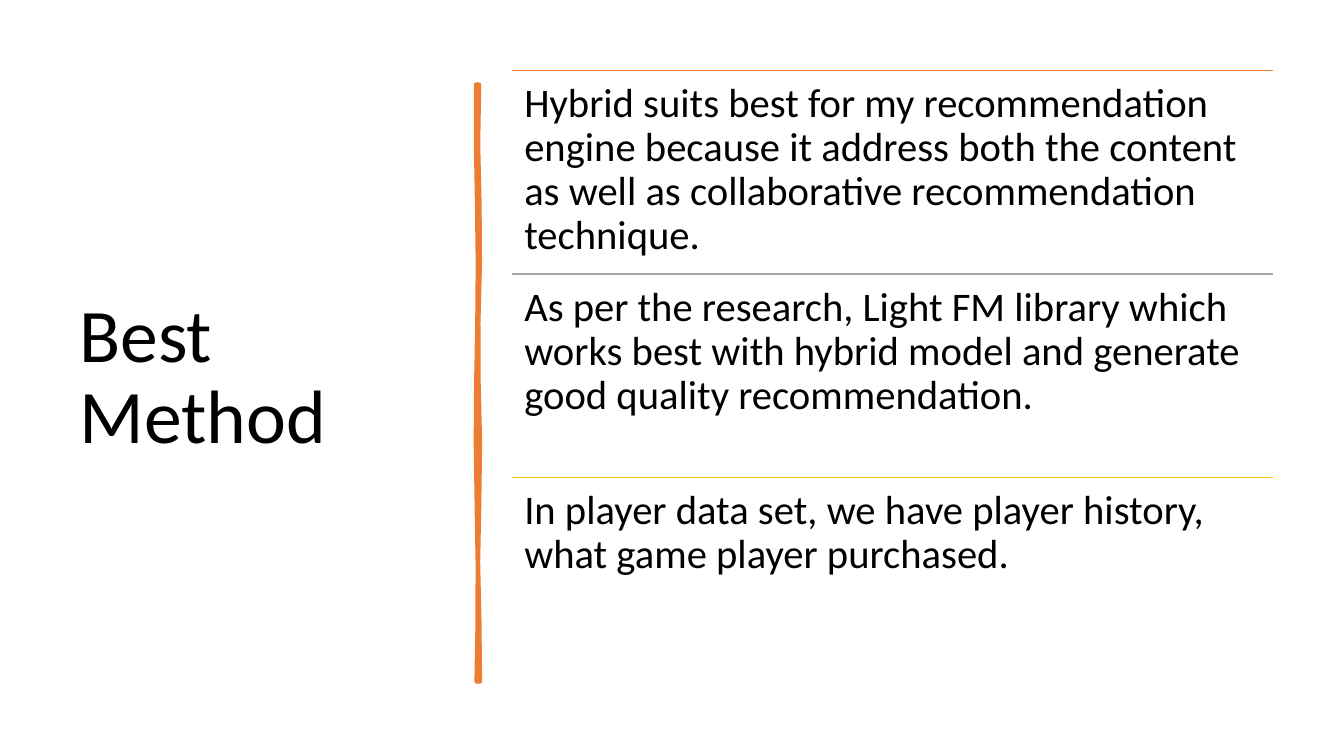
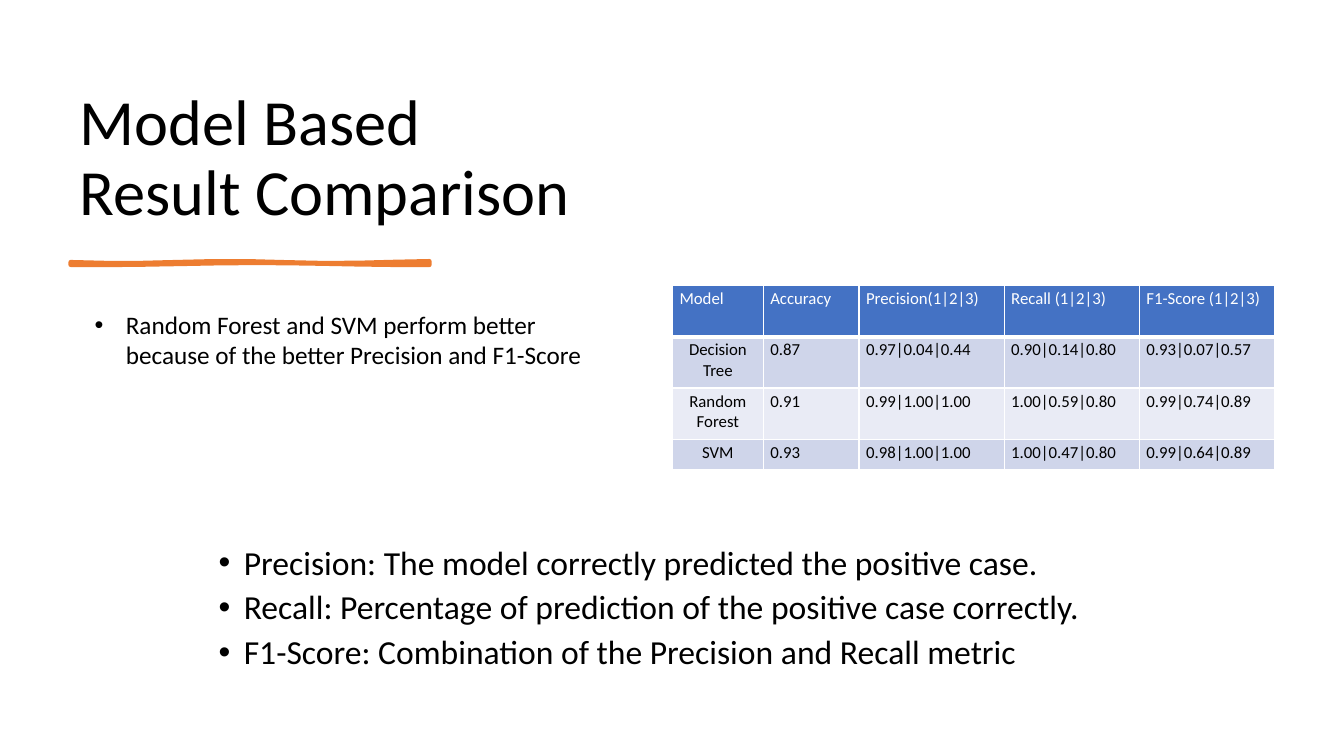
from math import sin

from lxml.etree import SubElement
from pptx import Presentation
from pptx.dml.color import RGBColor
from pptx.enum.shapes import MSO_CONNECTOR
from pptx.enum.text import MSO_ANCHOR, PP_ALIGN
from pptx.oxml import parse_xml
from pptx.oxml.ns import nsdecls, qn
from pptx.util import Inches, Pt

FONT = "Calibri"
BLACK = RGBColor(0x00, 0x00, 0x00)
WHITE = RGBColor(0xFF, 0xFF, 0xFF)
ORANGE = RGBColor(0xED, 0x7D, 0x31)
GRAY = RGBColor(0xA5, 0xA5, 0xA5)
GOLD = RGBColor(0xFF, 0xC0, 0x00)
BLUE = RGBColor(0x44, 0x72, 0xC4)
BAND_DARK = RGBColor(0xCF, 0xD5, 0xEA)
BAND_LIGHT = RGBColor(0xE9, 0xEB, 0xF5)


def write_text(frame, text, size, color=BLACK, align=PP_ALIGN.LEFT, anchor=MSO_ANCHOR.TOP,
               line_spacing=1.0, space_after=0, bullet_indent=None, text_indent=0):
    """Fill a text frame, one paragraph for each line of the text."""
    frame.word_wrap = True
    frame.vertical_anchor = anchor
    for index, line in enumerate(text.split("\n")):
        para = frame.paragraphs[0] if index == 0 else frame.add_paragraph()
        para.alignment = align
        para.line_spacing = line_spacing
        para.space_after = Pt(space_after)
        span = para.add_run()
        span.text = line
        span.font.name = FONT
        span.font.size = Pt(size)
        span.font.color.rgb = color
        if bullet_indent:
            properties = para._p.get_or_add_pPr()
            properties.set("marL", str(Inches(text_indent)))
            properties.set("indent", str(-Inches(bullet_indent)))
            SubElement(properties, qn("a:buFont"), typeface="Arial")
            SubElement(properties, qn("a:buChar"), char="•")


deck = Presentation()
deck.slide_width = Inches(13.33)
deck.slide_height = Inches(7.5)
blank = deck.slide_layouts[6]
method_slide = deck.slides.add_slide(blank)
result_slide = deck.slides.add_slide(blank)

# Titles share their corner and style
titles = [
    (method_slide, "Best Method", 3.74, 6.11, 54, MSO_ANCHOR.MIDDLE),
    (result_slide, "Model Based Result Comparison", 5.27, 1.62, 46, MSO_ANCHOR.BOTTOM),
]
for slide, title, width, height, size, anchor in titles:
    box = slide.shapes.add_textbox(Inches(0.69), Inches(0.7), Inches(width), Inches(height))
    write_text(box.text_frame, title, size=size, anchor=anchor, line_spacing=0.9)

# A wavy brush stroke beside or below each title
strokes = [
    (method_slide, 1.78, 3.79, 5.92, 3.25, 90),
    (result_slide, 0.7, 2.6, 3.56, 3, 0),
]
steps = 10
for slide, left, top, length, weight, rotation in strokes:
    stations = [length * step / steps for step in range(steps + 1)]
    upper_edge = [(x, 0.01 * sin(3 * x)) for x in stations]
    lower_edge = [(x, 0.02 + 0.01 * sin(2 * x + 1)) for x in reversed(stations)]
    points = [(Inches(left + x), Inches(top + y)) for x, y in upper_edge + lower_edge]
    builder = slide.shapes.build_freeform(*points[0], scale=1.0)
    builder.add_line_segments(points[1:], close=True)
    stroke = builder.convert_to_shape()
    stroke.rotation = rotation
    stroke.shadow.inherit = False
    stroke.fill.solid()
    stroke.fill.fore_color.rgb = ORANGE
    stroke.line.color.rgb = ORANGE
    stroke.line.width = Pt(weight)
    SubElement(stroke.line._get_or_add_ln(), qn("a:round"))

# Slide 1: three statements, each under a coloured rule
statements = [
    (ORANGE, "Hybrid suits best for my recommendation engine because it address both the "
             "content as well as collaborative recommendation technique."),
    (GRAY, "As per the research, Light FM library which works best with hybrid model and "
           "generate good quality recommendation."),
    (GOLD, "In player data set, we have player history, what game player purchased."),
]
left, width, height = Inches(5.08), Inches(7.55), Inches(2.02)
for index, (color, statement) in enumerate(statements):
    top = Inches(0.7) + index * height
    rule = method_slide.shapes.add_connector(MSO_CONNECTOR.STRAIGHT, left, top, left + width, top)
    rule.line.color.rgb = color
    rule.line.width = Pt(1)
    SubElement(rule._element.spPr, qn("a:effectLst"))
    box = method_slide.shapes.add_textbox(left, top, width, height)
    frame = box.text_frame
    frame.margin_left = frame.margin_right = Inches(0.12)
    frame.margin_top = frame.margin_bottom = Inches(0.12)
    write_text(frame, statement, size=29, line_spacing=0.9)

# Slide 2: definitions, score table and finding
box = result_slide.shapes.add_textbox(Inches(2.01), Inches(5.37), Inches(9.32), Inches(1.51))
write_text(box.text_frame,
           "Precision: The model correctly predicted the positive case.\n"
           "Recall: Percentage of prediction of the positive case correctly.\n"
           "F1-Score: Combination of the Precision and Recall metric",
           size=24, line_spacing=0.9, space_after=6, bullet_indent=0.25, text_indent=0.31)

scores = [
    ("Model", "Accuracy", "Precision(1|2|3)", "Recall (1|2|3)", "F1-Score (1|2|3)"),
    ("Decision Tree", "0.87", "0.97|0.04|0.44", "0.90|0.14|0.80", "0.93|0.07|0.57"),
    ("Random Forest", "0.91", "0.99|1.00|1.00", "1.00|0.59|0.80", "0.99|0.74|0.89"),
    ("SVM", "0.93", "0.98|1.00|1.00", "1.00|0.47|0.80", "0.99|0.64|0.89"),
]
column_widths = [0.9, 0.95, 1.44, 1.34, 1.34]
row_heights = [0.51, 0.51, 0.51, 0.3]
row_fills = [BLUE, BAND_DARK, BAND_LIGHT, BAND_DARK]
table = result_slide.shapes.add_table(
    len(scores), len(column_widths), Inches(6.67), Inches(2.83),
    Inches(sum(column_widths)), Inches(sum(row_heights))).table
for column, column_width in zip(table.columns, column_widths):
    column.width = Inches(column_width)
for row_index, values in enumerate(scores):
    table.rows[row_index].height = Inches(row_heights[row_index])
    is_header = row_index == 0
    for column_index, value in enumerate(values):
        cell = table.cell(row_index, column_index)
        cell.margin_left = cell.margin_right = Inches(0.07)
        cell.margin_top = cell.margin_bottom = Inches(0.03)
        cell.fill.solid()
        cell.fill.fore_color.rgb = row_fills[row_index]
        is_model_name = column_index == 0 and not is_header
        write_text(cell.text_frame, value, size=12, color=WHITE if is_header else BLACK,
                   align=PP_ALIGN.CENTER if is_model_name else PP_ALIGN.LEFT)
        borders = {"lnL": 1, "lnR": 1, "lnT": 3 if row_index == 1 else 1,
                   "lnB": 3 if is_header else 1}
        for position, (side, weight) in enumerate(borders.items()):
            border = parse_xml(
                f'<a:{side} {nsdecls("a")} w="{Pt(weight)}"><a:solidFill>'
                f'<a:srgbClr val="{WHITE}"/></a:solidFill></a:{side}>')
            cell._tc.get_or_add_tcPr().insert(position, border)

box = result_slide.shapes.add_textbox(Inches(0.84), Inches(3.02), Inches(5.27), Inches(0.71))
write_text(box.text_frame,
           "Random Forest and SVM perform better because of the better Precision and F1-Score",
           size=18, bullet_indent=0.31, text_indent=0.31)

deck.save("out.pptx")
